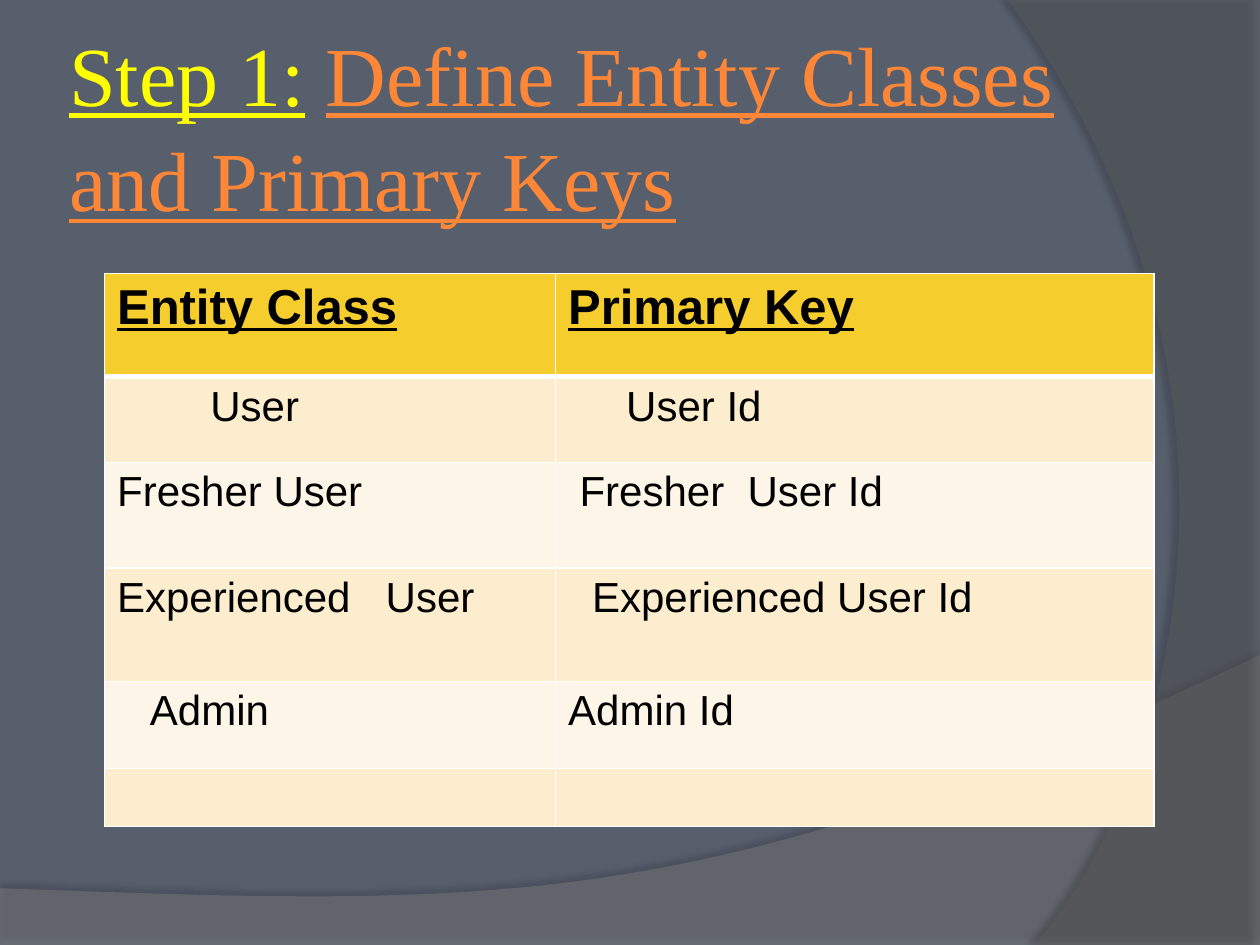
from dataclasses import dataclass

from lxml import etree
from pptx import Presentation
from pptx.dml.color import RGBColor
from pptx.enum.text import MSO_ANCHOR, MSO_AUTO_SIZE, PP_ALIGN
from pptx.oxml.ns import qn
from pptx.util import Inches, Pt

MIDDLE = MSO_ANCHOR.MIDDLE
NO_FIT = MSO_AUTO_SIZE.NONE
LEFT = PP_ALIGN.LEFT
TITLE_ONLY = 5
CURVE_STEPS = 48
CELL_MARGIN = 0.1


@dataclass(frozen=True)
class Theme:
    """Colours, fonts and type sizes of the deck."""

    background: str = "575F6D"
    lower_wave: str = "7F7F7F"
    side_wave: str = "5E5E5E"
    shadow: str = "000000"
    step: str = "FFFF00"
    heading: str = "FE8637"
    text: str = "000000"
    line: str = "FFFFFF"
    header: str = "F5CD2D"
    bands: tuple = ("FBEDCD", "FDF6E8")
    title_font: str = "Times New Roman"
    body_font: str = "Arial"
    title_size: int = 48
    header_size: int = 28
    body_size: int = 24


@dataclass(frozen=True)
class Entry:
    """Text of a table cell with its indent in inches and extra first word gap in points."""

    text: str
    indent: float = 0
    gap: float = 0


def curve(start, first, second, end):
    """Return points along a cubic curve, without its start."""
    points = []
    for step in range(1, CURVE_STEPS + 1):
        t = step / CURVE_STEPS
        weights = ((1 - t) ** 3, 3 * t * (1 - t) ** 2, 3 * t * t * (1 - t), t ** 3)
        corners = (start, first, second, end)
        points.append(tuple(sum(w * c[axis] for w, c in zip(weights, corners)) for axis in (0, 1)))
    return points


def add_color(parent, color, opacity=100):
    """Add a colour element with its opacity in percent."""
    element = etree.SubElement(parent, qn("a:srgbClr"), val=color)
    etree.SubElement(element, qn("a:alpha"), val=str(opacity * 1000))


class SlideBuilder:
    """Holds the theme and the current slide."""

    def __init__(self, deck, theme):
        self.theme = theme
        self.slide = deck.slides.add_slide(deck.slide_layouts[TITLE_ONLY])
        fill = self.slide.background.fill
        fill.solid()
        fill.fore_color.rgb = RGBColor.from_string(theme.background)

    def style(self, span, font, size, color, bold=False, underline=False):
        """Format one run."""
        span.font.name = font
        span.font.size = Pt(size)
        span.font.color.rgb = RGBColor.from_string(color)
        span.font.bold = bold
        span.font.underline = underline

    def wave(self, points, color, opacity, shade, distance, angle):
        """Draw a translucent shape with a soft shadow."""
        start, *rest = [(Inches(x), Inches(y)) for x, y in points]
        builder = self.slide.shapes.build_freeform(*start)
        builder.add_line_segments(rest, close=True)
        shape = builder.convert_to_shape()
        shape.line.fill.background()
        shape.fill.solid()
        properties = shape._element.spPr
        solid = properties.find(qn("a:solidFill"))
        solid.clear()
        add_color(solid, color, opacity)
        effects = etree.SubElement(properties, qn("a:effectLst"))
        shadow = etree.SubElement(
            effects, qn("a:outerShdw"), blurRad=str(Pt(4)), dist=str(Pt(distance)),
            dir=str(angle * 60000), algn="ctr", rotWithShape="0")
        add_color(shadow, self.theme.shadow, shade)

    def title(self, spans, left, top, width, height):
        """Fill the title placeholder and bring it in front of the waves."""
        title = self.slide.shapes.title
        title._element.getparent().append(title._element)
        title.left, title.top = Inches(left), Inches(top)
        title.width, title.height = Inches(width), Inches(height)
        frame = title.text_frame
        frame.word_wrap = True
        frame.auto_size = NO_FIT
        frame.vertical_anchor = MIDDLE
        frame.margin_left = frame.margin_right = Inches(0.05)
        frame.margin_top = frame.margin_bottom = Inches(0.05)
        para = frame.paragraphs[0]
        para.alignment = LEFT
        para.line_spacing = 1.05
        for text, color, underline in spans:
            span = para.add_run()
            span.text = text
            self.style(span, self.theme.title_font, self.theme.title_size, color, underline=underline)

    def border(self, cell, widths):
        """Draw the left, right, top and bottom borders of a cell."""
        properties = cell._tc.get_or_add_tcPr()
        for side, width in zip("LRTB", widths):
            line = etree.SubElement(properties, qn(f"a:ln{side}"), w=str(Pt(width)))
            add_color(etree.SubElement(line, qn("a:solidFill")), self.theme.line)

    def cell(self, cell, entry, row):
        """Fill and format one table cell."""
        header = row == 0
        self.border(cell, (1, 1, 3 if row == 1 else 1, 3 if header else 1))
        color = self.theme.header if header else self.theme.bands[(row - 1) % 2]
        cell.fill.solid()
        cell.fill.fore_color.rgb = RGBColor.from_string(color)
        cell.margin_left = Inches(CELL_MARGIN + entry.indent)
        para = cell.text_frame.paragraphs[0]
        parts = entry.text.partition(" ") if entry.gap else (entry.text,)
        size = self.theme.header_size if header else self.theme.body_size
        for part in filter(None, parts):
            span = para.add_run()
            span.text = part
            self.style(span, self.theme.body_font, size, self.theme.text, header, header)
            if part == " ":
                span.font._element.set("spc", str(round(entry.gap * 100)))

    def table(self, entries, left, top, widths, heights):
        """Add a banded table with a header row."""
        frame = self.slide.shapes.add_table(
            len(heights), len(widths), Inches(left), Inches(top),
            Inches(sum(widths)), Inches(sum(heights)))
        table = frame.table
        for column, width in zip(table.columns, widths):
            column.width = Inches(width)
        for row, height in zip(table.rows, heights):
            row.height = Inches(height)
        for row, pair in enumerate(entries):
            for column, entry in enumerate(pair):
                self.cell(table.cell(row, column), entry, row)


def main():
    """Build the deck."""
    theme = Theme()
    deck = Presentation()
    deck.slide_width, deck.slide_height = Inches(10), Inches(7.5)
    page = SlideBuilder(deck, theme)
    lower = [(0, 7.05), (0, 7.5), (10, 7.5), (10, 5.2)]
    lower += curve((10, 5.2), (5.59, 7.29), (3.91, 7.19), (0, 7.05))
    page.wave(lower, theme.lower_wave, 45, 35, 3.5, 270)
    side = [(10, 0), (10, 7.5), (8.21, 7.5)]
    side += curve((8.21, 7.5), (9.35, 6.19), (10.18, 3), (8, 0))
    page.wave(side, theme.side_wave, 40, 45, 4, 180)
    page.title(
        [("Step 1:", theme.step, True), (" ", theme.line, False),
         ("Define Entity Classes and Primary Keys", theme.heading, True)],
        0.5, 0.35, 8.17, 1.25)
    entries = [
        (Entry("Entity Class"), Entry("Primary Key")),
        (Entry("User", indent=0.74), Entry("User Id", indent=0.46)),
        (Entry("Fresher User"), Entry("Fresher User Id", indent=0.09, gap=6.67)),
        (Entry("Experienced User", gap=13.34), Entry("Experienced User Id", indent=0.19)),
        (Entry("Admin", indent=0.26), Entry("Admin Id")),
        (Entry(""), Entry("")),
    ]
    page.table(entries, 0.83, 2.17, (3.58, 4.75), (0.82, 0.68, 0.84, 0.9, 0.69, 0.46))
    deck.save("out.pptx")


if __name__ == "__main__":
    main()
